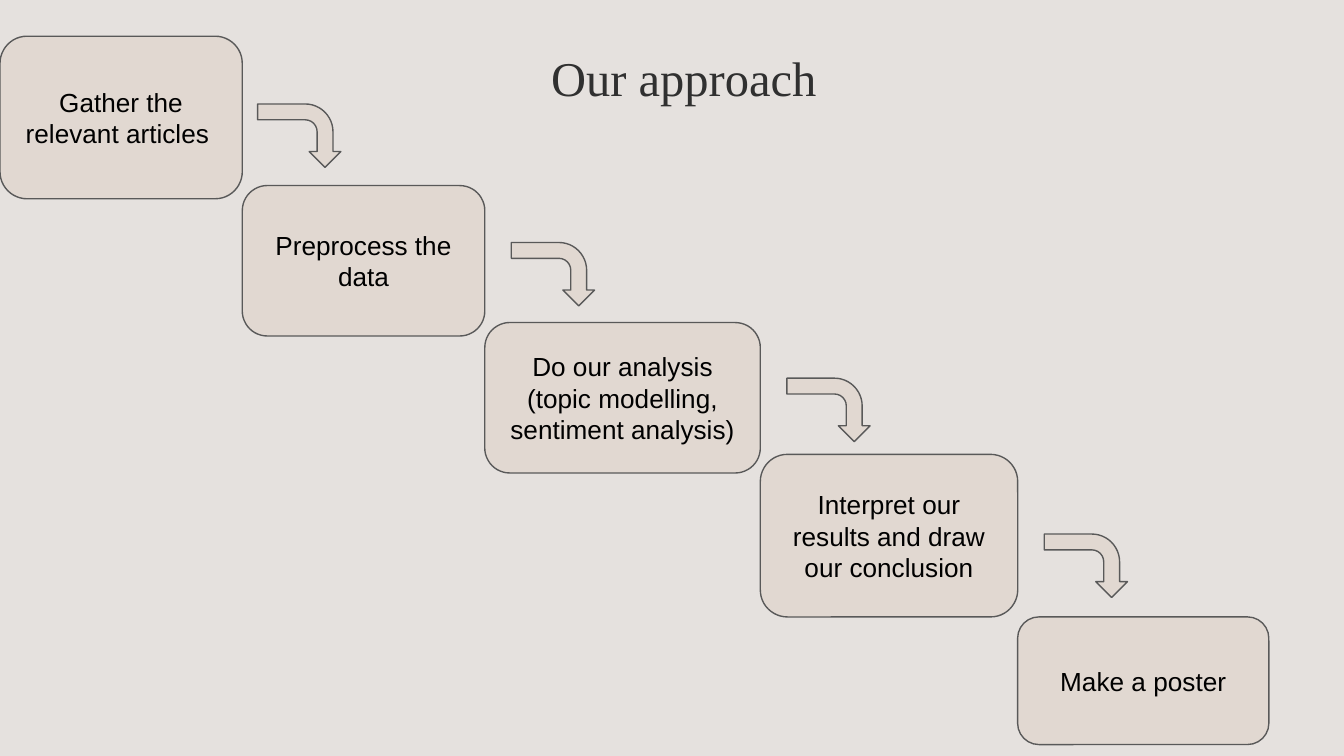
"""Build the "Our approach" slide: a staircase of five steps joined by bent arrows."""
from itertools import accumulate

from pptx import Presentation
from pptx.dml.color import RGBColor
from pptx.enum.shapes import MSO_SHAPE as Shape
from pptx.enum.text import MSO_ANCHOR as Anchor, PP_ALIGN as Align
from pptx.util import Pt

TITLE = "Our approach "
STEPS = [
    {"text": "Gather the relevant articles ", "top": 19.4, "width": 129.8, "height": 87.1},
    {"text": "Preprocess the data", "top": 99.4, "width": 129.9, "height": 80.6},
    {"text": "Do our analysis (topic modelling, sentiment analysis)",
     "top": 172.8, "width": 147.6, "height": 80.6},
    {"text": "Interpret our results and draw our conclusion",
     "top": 243.4, "width": 137.9, "height": 87.1},
    {"text": "Make a poster", "top": 330.5, "width": 134.6, "height": 68.4},
]
ARROWS = [(13.5, 49), (19.5, 48.2), (19.5, 46.1), (19.5, 49.7)]
ARROW_SIZE = (34, 44.6)
THEME = {
    "background": RGBColor(0xE5, 0xE1, 0xDE),
    "fill": RGBColor(0xE1, 0xD8, 0xD1),
    "line": RGBColor(0x59, 0x59, 0x59),
    "title": RGBColor(0x30, 0x30, 0x30),
    "text": RGBColor(0, 0, 0),
    "title_font": "Times New Roman",
    "text_font": "Arial",
    "title_size": 26,
    "text_size": 14,
    "line_width": 0.75,
    "inset": 7.2,
}


def write(box, text, role):
    """Put one centred paragraph into a box."""
    frame = box.text_frame
    frame.word_wrap = True
    frame.vertical_anchor = Anchor.MIDDLE
    frame.margin_left = frame.margin_right = Pt(THEME["inset"])
    frame.margin_top = frame.margin_bottom = Pt(THEME["inset"])
    para = frame.paragraphs[0]
    para.alignment = Align.CENTER
    span = para.add_run()
    span.text = text
    span.font.name = THEME[role + "_font"]
    span.font.size = Pt(THEME[role + "_size"])
    span.font.color.rgb = THEME[role]
    return para


def add_shape(page, kind, left, top, width, height):
    """Add a flat, outlined preset shape."""
    shape = page.shapes.add_shape(kind, Pt(left), Pt(top), Pt(width), Pt(height))
    shape.shadow.inherit = False
    shape.fill.solid()
    shape.fill.fore_color.rgb = THEME["fill"]
    shape.line.color.rgb = THEME["line"]
    shape.line.width = Pt(THEME["line_width"])
    return shape


def main():
    """Build and save the deck."""
    deck = Presentation()
    deck.slide_width, deck.slide_height = Pt(720), Pt(405)
    page = deck.slides.add_slide(deck.slide_layouts[5])
    page.background.fill.solid()
    page.background.fill.fore_color.rgb = THEME["background"]

    title = page.shapes.title
    title.left, title.top, title.width, title.height = Pt(19.4), Pt(8.6), Pt(700.6), Pt(61.2)
    write(title, TITLE, "title").line_spacing = 1.15

    rights = list(accumulate(step["width"] for step in STEPS))
    for step, right in zip(STEPS, rights):
        left = right - step["width"]
        box = add_shape(page, Shape.ROUNDED_RECTANGLE, left, step["top"],
                        step["width"], step["height"])
        write(box, step["text"], "text")

    for (gap, rise), right, target in zip(ARROWS, rights, STEPS[1:]):
        arrow = add_shape(page, Shape.BENT_ARROW, right + gap, target["top"] - rise, *ARROW_SIZE)
        arrow.rotation = 90

    deck.save("out.pptx")


if __name__ == "__main__":
    main()
